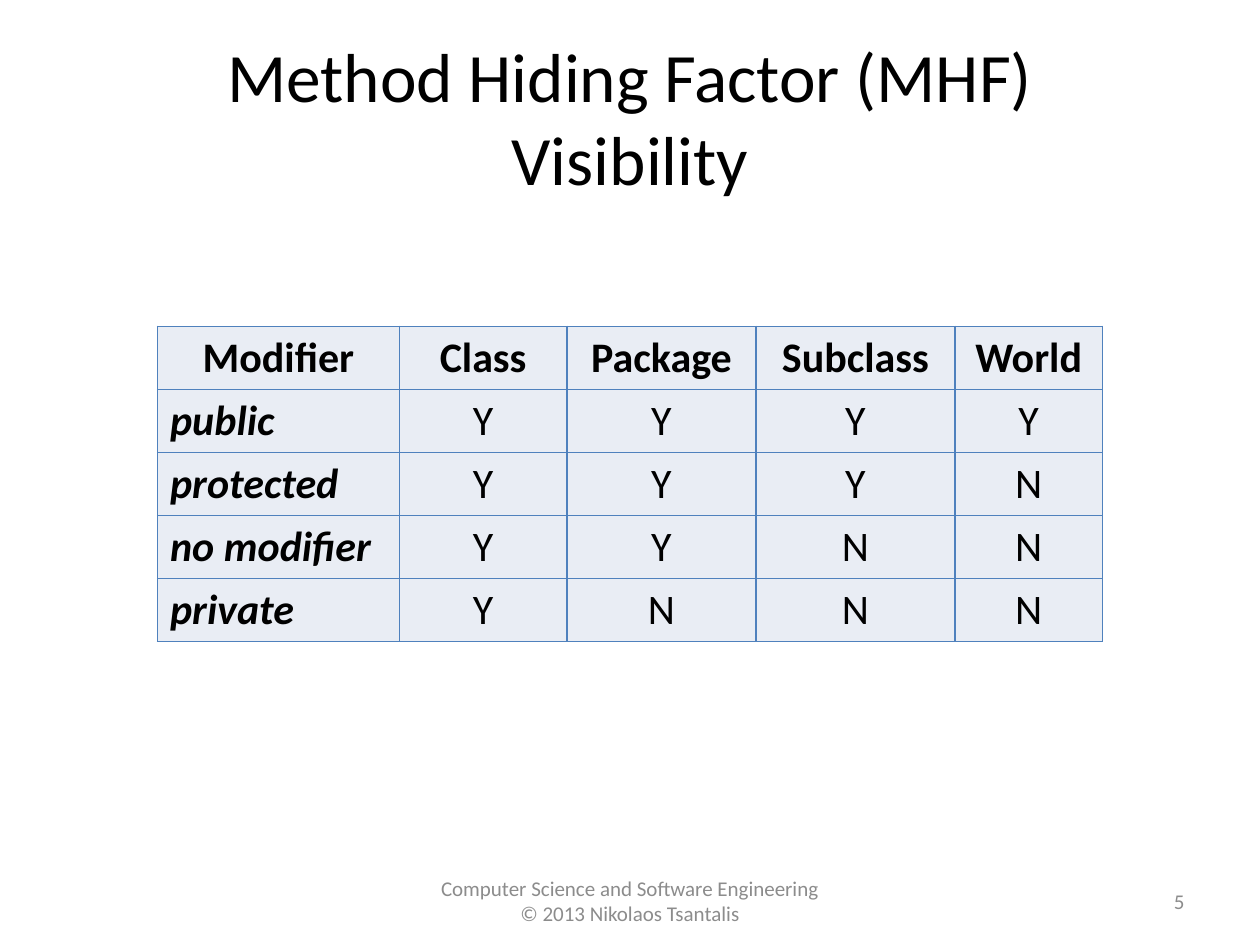
import dataclasses

import pptx
import pptx.dml.color
import pptx.enum.text
import pptx.oxml
import pptx.oxml.ns
import pptx.util

ALIGN = pptx.enum.text.PP_ALIGN
ANCHOR = pptx.enum.text.MSO_ANCHOR


@dataclasses.dataclass(frozen=True)
class Theme:
    """Hold the colours, font and type sizes of the slide."""
    font: str = "Calibri"
    ink: str = "000000"
    muted: str = "8C8C8C"
    cell: str = "E9EDF4"
    border: str = "4F81BD"
    title_size: float = 39.6
    table_size: float = 24
    footer_size: float = 12


THEME = Theme()
WIDTH, HEIGHT = pptx.util.Inches(10), pptx.util.Inches(7.5)
TITLE_LINES = ["Method Hiding Factor (MHF)", "Visibility"]
FOOTER_LINES = ["Computer Science and Software Engineering", "© 2013 Nikolaos Tsantalis"]
COLUMNS = {"Modifier": 1.92, "Class": 1.33, "Package": 1.5, "Subclass": 1.58, "World": 1.17}
ACCESS = {"public": "YYYY", "protected": "YYYN", "no modifier": "YYNN", "private": "YNNN"}


def inches(*lengths):
    """Convert lengths in inches to slide units."""
    return [pptx.util.Inches(length) for length in lengths]


def write(para, text, *, size, color=THEME.ink, align=ALIGN.CENTER, bold=False, italic=False):
    """Add text to a paragraph in the given format."""
    para.alignment = align
    span = para.add_run()
    span.text = text
    span.font.name = THEME.font
    span.font.size = pptx.util.Pt(size)
    span.font.bold, span.font.italic = bold, italic
    span.font.color.rgb = pptx.dml.color.RGBColor.from_string(color)


def add_title(page, box):
    """Fill the title placeholder with lines parted by breaks."""
    title = page.shapes.title
    title.left, title.top, title.width, title.height = inches(*box)
    frame = title.text_frame
    frame.auto_size = pptx.enum.text.MSO_AUTO_SIZE.NONE
    frame.vertical_anchor = ANCHOR.MIDDLE
    para = frame.paragraphs[0]
    for index, line in enumerate(TITLE_LINES):
        if index:
            para.add_line_break()
        write(para, line, size=THEME.title_size)


def add_footer(page, box, lines, align):
    """Place muted footer lines in a box."""
    frame = page.shapes.add_textbox(*inches(*box)).text_frame
    frame.word_wrap = True
    frame.vertical_anchor = ANCHOR.MIDDLE
    for index, line in enumerate(lines):
        para = frame.add_paragraph() if index else frame.paragraphs[0]
        write(para, line, size=THEME.footer_size, color=THEME.muted, align=align)


def style_cell(cell):
    """Give a cell its fill, anchor and four borders."""
    cell.vertical_anchor = ANCHOR.BOTTOM
    properties = cell._tc.get_or_add_tcPr()
    for side in ("lnL", "lnR", "lnT", "lnB"):
        properties.append(pptx.oxml.parse_xml(
            f'<a:{side} {pptx.oxml.ns.nsdecls("a")} w="12700"><a:solidFill>'
            f'<a:srgbClr val="{THEME.border}"/></a:solidFill></a:{side}>'))
    cell.fill.solid()
    cell.fill.fore_color.rgb = pptx.dml.color.RGBColor.from_string(THEME.cell)


def add_access_table(page, box):
    """Place the table of modifiers and their visibility."""
    rows = [list(COLUMNS)] + [[name, *marks] for name, marks in ACCESS.items()]
    table = page.shapes.add_table(len(rows), len(COLUMNS), *inches(*box)).table
    table.horz_banding = False
    for column, share in zip(table.columns, COLUMNS.values()):
        column.width = pptx.util.Inches(box[2] * share / sum(COLUMNS.values()))
    for r, values in enumerate(rows):
        for c, value in enumerate(values):
            cell = table.cell(r, c)
            style_cell(cell)
            modifier = r > 0 and c == 0
            write(cell.text_frame.paragraphs[0], value, size=THEME.table_size,
                  align=ALIGN.LEFT if modifier else ALIGN.CENTER,
                  bold=r == 0 or modifier, italic=modifier)


def main():
    """Build and save the visibility slide."""
    deck = pptx.Presentation()
    deck.slide_width, deck.slide_height = WIDTH, HEIGHT
    page = deck.slides.add_slide(deck.slide_layouts[5])
    add_footer(page, (0, 6.95, 10, 0.4), FOOTER_LINES, ALIGN.CENTER)
    add_title(page, (0.5, 0.3, 9, 1.25))
    add_footer(page, (7.17, 6.95, 2.33, 0.4), ["5"], ALIGN.RIGHT)
    add_access_table(page, (1.25, 2.59, 7.5, 2.5))
    deck.save("out.pptx")


main()
